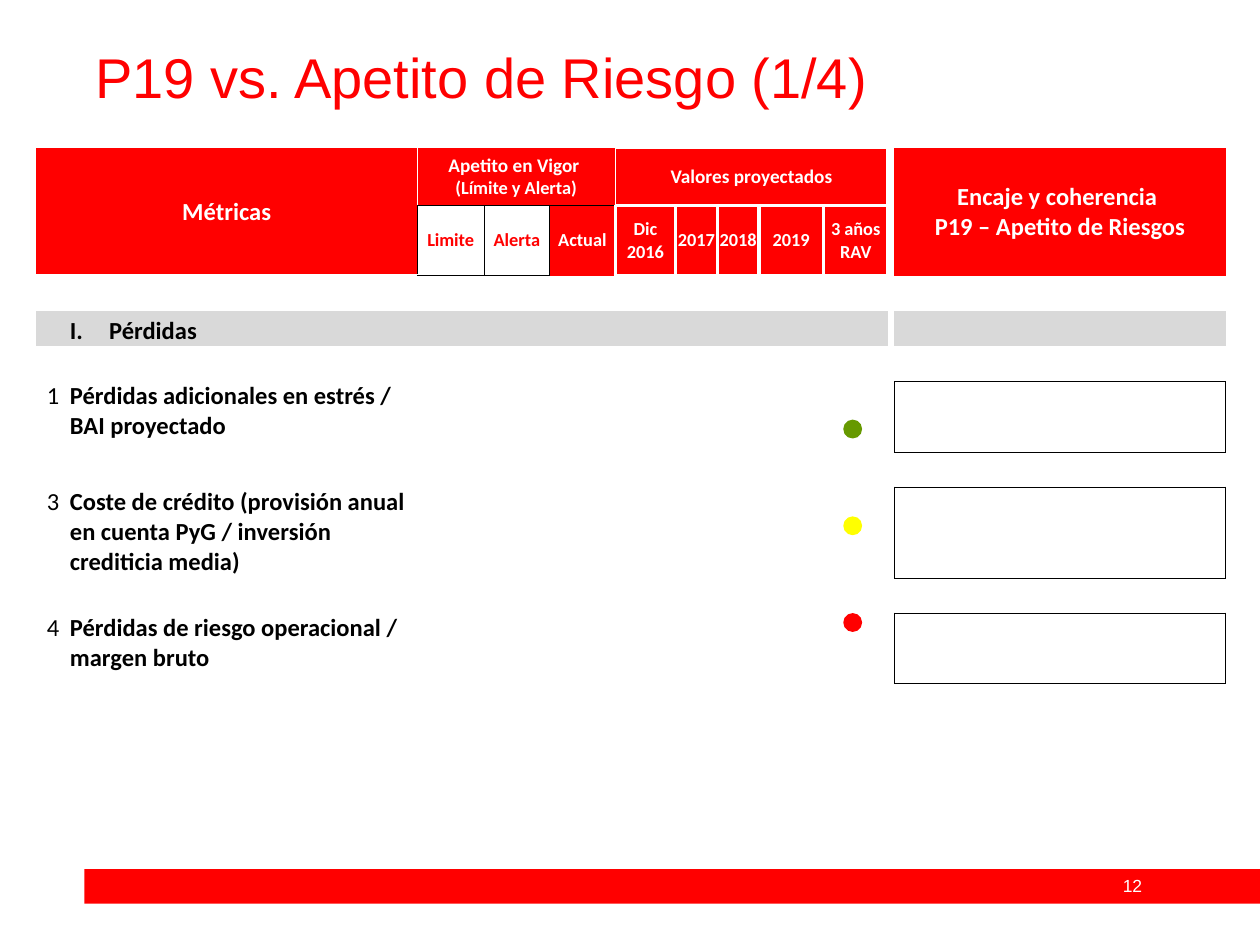
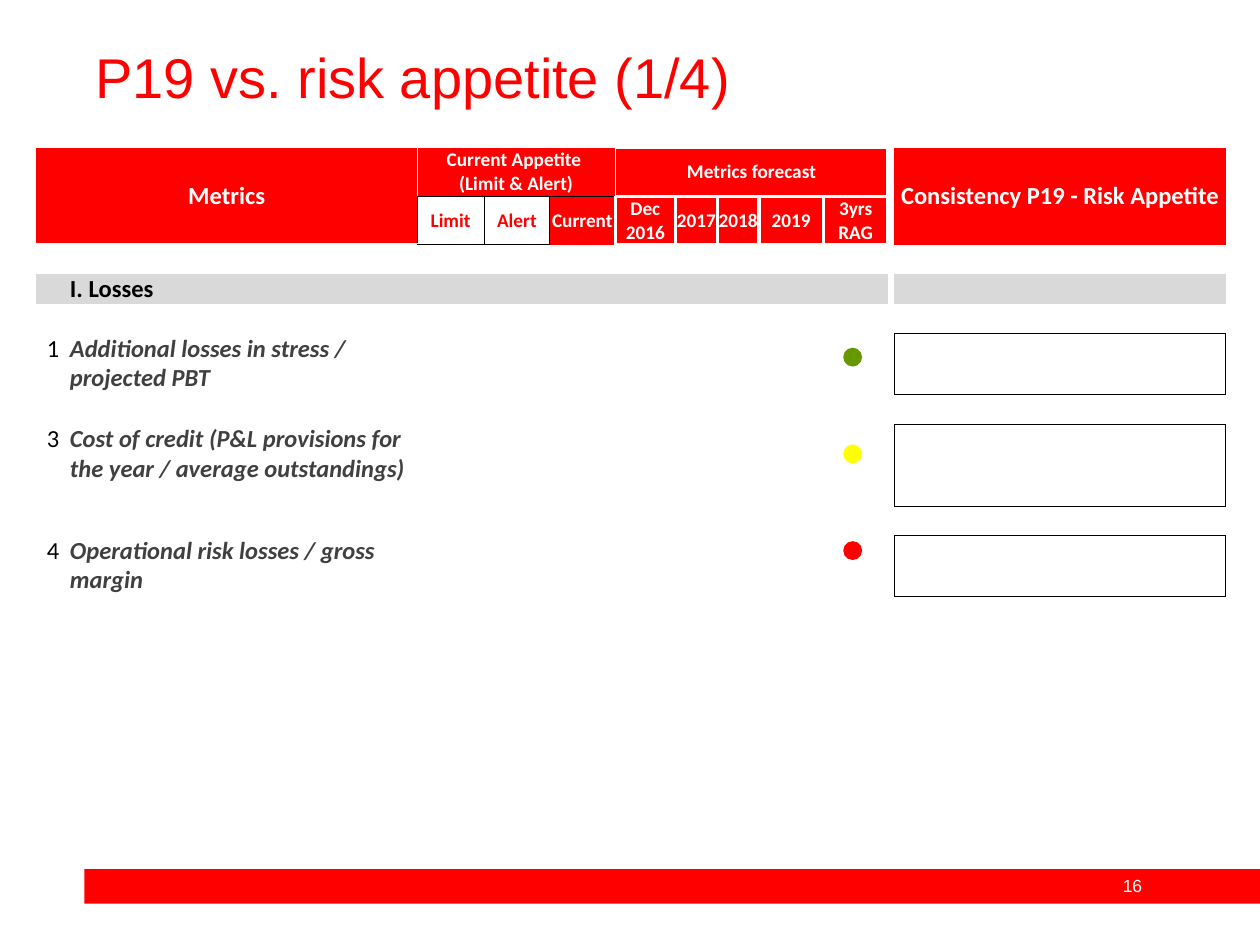
from lxml import etree
from pptx import Presentation
from pptx import util as u
from pptx.dml.color import RGBColor
from pptx.enum import shapes, text
from pptx.oxml.ns import qn

Cm, Pt = u.Cm, u.Pt
RED, WHITE, BLACK, GREY, DARK = "FF0000", "FFFFFF", "000000", "D9D9D9", "404040"
STATUS = ["669900", "FFFF00", RED]
NO_STYLE = "{2D5ABB26-0587-4C30-8999-92F81FD0307C}"
CENTER = text.PP_ALIGN.CENTER
MIDDLE = text.MSO_ANCHOR.MIDDLE

# Table grid, in cm
COLS = [0.68, 7, 1.35, 1.32, 1.32, 1.22, 0.84, 0.84, 1.3, 1.3, 0.13, 6.68]
GAP, FIT = 10, 11
SECTION_ROW, METRIC_ROWS = 3, [5, 7, 9]

# Cell borders: side -> (colour, points)
BOX = {side: (BLACK, 0.5) for side in "LRTB"}
THICK = {side: (WHITE, 2) for side in "LRT"}
THIN = {side: (WHITE, 0.5) for side in "LRT"}


def rgb(value):
    return RGBColor.from_string(value)


class Deck:
    """Holds the shared style and the current slide."""

    def __init__(self):
        self.prs = Presentation()
        self.prs.slide_width, self.prs.slide_height = Cm(25.4), Cm(19.05)

    def new_slide(self, title, number):
        self.s = self.prs.slides.add_slide(self.prs.slide_layouts[5])
        self.title(title)
        self.footer(number)

    def run(self, p, words, size, color, font="Calibri", bold=False, italic=False):
        r = p.add_run()
        r.text = words
        f = r.font
        f.name, f.size, f.bold, f.italic = font, Pt(size), bold, italic
        f.color.rgb = rgb(color)

    def title(self, words):
        sp = self.s.shapes.title
        sp.left, sp.top, sp.width, sp.height = Cm(1.73), Cm(0.79), Cm(21.9), Cm(1.45)
        tf = sp.text_frame
        tf.word_wrap, tf.auto_size = True, text.MSO_AUTO_SIZE.NONE
        tf.vertical_anchor = MIDDLE
        tf.margin_left, tf.margin_top, tf.margin_bottom = Cm(0.19), Cm(0.2), 0
        p = tf.paragraphs[0]
        p.alignment, p.line_spacing = text.PP_ALIGN.LEFT, 0.9
        self.run(p, words, 32, RED, "Arial")

    def shape(self, kind, left, top, width, height, color):
        sp = self.s.shapes.add_shape(kind, Cm(left), Cm(top), Cm(width), Cm(height))
        sp.shadow.inherit = False
        sp.fill.solid()
        sp.fill.fore_color.rgb = rgb(color)
        sp.line.fill.background()

    def footer(self, number):
        self.shape(shapes.MSO_SHAPE.RECTANGLE, 1.7, 17.52, 23.7, 0.7, RED)
        sp = self.s.shapes.add_textbox(Cm(22.12), Cm(17.52), Cm(1.42), Cm(0.69))
        sp.text_frame.word_wrap = True
        p = sp.text_frame.paragraphs[0]
        p.alignment = CENTER
        self.run(p, number, 10, WHITE, "Arial")

    def dots(self, top):
        for i, color in enumerate(STATUS):
            self.shape(shapes.MSO_SHAPE.OVAL, 17, top + i * 1.95, 0.38, 0.38, color)

    def grid(self, heights):
        frame = self.s.shapes.add_table(len(heights), len(COLS), Cm(0.73), Cm(2.98),
                                        Cm(sum(COLS)), Cm(sum(heights)))
        self.table = frame.table
        self.table.first_row = self.table.horz_banding = False
        self.table._tbl.tblPr.find(qn("a:tableStyleId")).text = NO_STYLE
        for col, width in zip(self.table.columns, COLS):
            col.width = Cm(width)
        for row, height in zip(self.table.rows, heights):
            row.height = Cm(height)
        for i in range(len(heights)):
            for j in range(len(COLS)):
                self.blank(i, j, GREY if i == SECTION_ROW and j != GAP else WHITE)

    def blank(self, i, j, fill):
        c = self.table.cell(i, j)
        c.margin_left = c.margin_right = c.margin_top = c.margin_bottom = 0
        c.fill.solid()
        c.fill.fore_color.rgb = rgb(fill)
        # Small empty paragraphs keep short rows from growing
        etree.SubElement(c.text_frame.paragraphs[0]._p, qn("a:endParaRPr"), sz="800")

    def borders(self, c, sides):
        tcPr = c._tc.get_or_add_tcPr()
        for at, side in enumerate(s for s in "LRTB" if s in sides):
            color, width = sides[side]
            ln = etree.Element(qn("a:ln" + side), w=str(Pt(width)))
            etree.SubElement(etree.SubElement(ln, qn("a:solidFill")),
                             qn("a:srgbClr"), val=color)
            tcPr.insert(at, ln)

    def cell(self, i, j, lines, size, color, fill=None, sides=None, span=(1, 1),
             anchor=MIDDLE, align=CENTER, numbered=False, bold=True, italic=False):
        """Each line is a string, or a (string, size) pair."""
        c = self.table.cell(i, j)
        if span != (1, 1):
            c.merge(self.table.cell(i + span[0] - 1, j + span[1] - 1))
        self.borders(c, sides or {})
        if fill:
            c.fill.solid()
            c.fill.fore_color.rgb = rgb(fill)
        c.vertical_anchor = anchor
        tf = c.text_frame
        for n, line in enumerate(lines):
            words, points = line if isinstance(line, tuple) else (line, size)
            p = tf.add_paragraph() if n else tf.paragraphs[0]
            p.alignment = align
            if numbered:
                pPr = p._p.get_or_add_pPr()
                pPr.set("marL", str(Cm(0.79)))
                pPr.set("indent", str(-Cm(0.79)))
                etree.SubElement(pPr, qn("a:buFont"), typeface="+mj-lt")
                etree.SubElement(pPr, qn("a:buAutoNum"), type="romanUcPeriod")
            self.run(p, words, points, color, bold=bold, italic=italic)

    def header(self, metrics, appetite, forecast, fit, labels, size):
        self.cell(0, 0, [metrics], 14, WHITE, RED, span=(2, 2),
                  sides={"R": (WHITE, 0.5), "B": (WHITE, 2)})
        self.cell(0, 2, appetite, 11, WHITE, RED, THIN, (1, 3))
        self.cell(0, 5, [forecast], 11, WHITE, RED, span=(1, 5),
                  sides={"L": (WHITE, 0.5), "T": (WHITE, 2), "R": (WHITE, 2),
                         "B": (WHITE, 2)})
        self.cell(0, FIT, fit, 14, WHITE, RED, span=(2, 1))
        for j, label in enumerate(labels, 2):
            if j < 4:
                self.cell(1, j, [label], size, RED, WHITE, BOX)
            else:
                sides = THICK if j > 4 else {"L": (BLACK, 0.5), "R": (WHITE, 2)}
                self.cell(1, j, [label], size, WHITE, RED, sides)

    def section(self, words, numbered, anchor):
        self.cell(SECTION_ROW, 1, [words], 14, BLACK, anchor=anchor,
                  align=text.PP_ALIGN.LEFT, numbered=numbered)

    def metrics(self, names, color, italic):
        top = text.MSO_ANCHOR.TOP
        for i, number, name in zip(METRIC_ROWS, "134", names):
            self.cell(i, 0, [number], 14, BLACK, anchor=top, bold=False)
            self.cell(i, 1, [name], 14, color, anchor=top,
                      align=text.PP_ALIGN.LEFT, italic=italic)
            self.borders(self.table.cell(i, FIT), BOX)


def main():
    deck = Deck()

    # Spanish slide
    deck.new_slide("P19 vs. Apetito de Riesgo (1/4)", "12")
    deck.grid([1.16, 1.42, 0.71, 0.71, 0.71, 1.42, 0.71, 1.83, 0.71, 1.42, 0.71])
    deck.header("Métricas", ["Apetito en Vigor ", ("(Límite y Alerta)", 10.5)],
                "Valores proyectados", ["Encaje y coherencia ", "P19 – Apetito de Riesgos"],
                ["Limite", "Alerta", "Actual", "Dic 2016", "2017", "2018", "2019",
                 "3 años RAV"], 10.5)
    deck.section("Pérdidas", True, text.MSO_ANCHOR.BOTTOM)
    deck.metrics(["Pérdidas adicionales en estrés / BAI proyectado",
                  "Coste de crédito (provisión anual en cuenta PyG / inversión "
                  "crediticia media)",
                  "Pérdidas de riesgo operacional / margen bruto"], BLACK, False)
    deck.dots(8.46)

    # English slide
    deck.new_slide("P19 vs. risk appetite (1/4)", "16")
    deck.grid([0.98, 0.97, 0.6, 0.6, 0.6, 1.23, 0.6, 1.64, 0.6, 1.23, 0.6])
    deck.header("Metrics", ["Current Appetite ", "(Limit & Alert)"],
                "Metrics forecast", ["Consistency P19 - Risk Appetite"],
                ["Limit", "Alert", "Current", "Dec 2016", "2017", "2018", "2019",
                 "3yrs RAG"], 11)
    deck.section("I. Losses", False, text.MSO_ANCHOR.TOP)
    deck.metrics(["Additional losses in stress / projected PBT",
                  "Cost of credit (P&L provisions for the year / average outstandings)",
                  "Operational risk losses / gross margin"], DARK, True)
    deck.dots(7.01)

    deck.prs.save("out.pptx")


if __name__ == "__main__":
    main()
